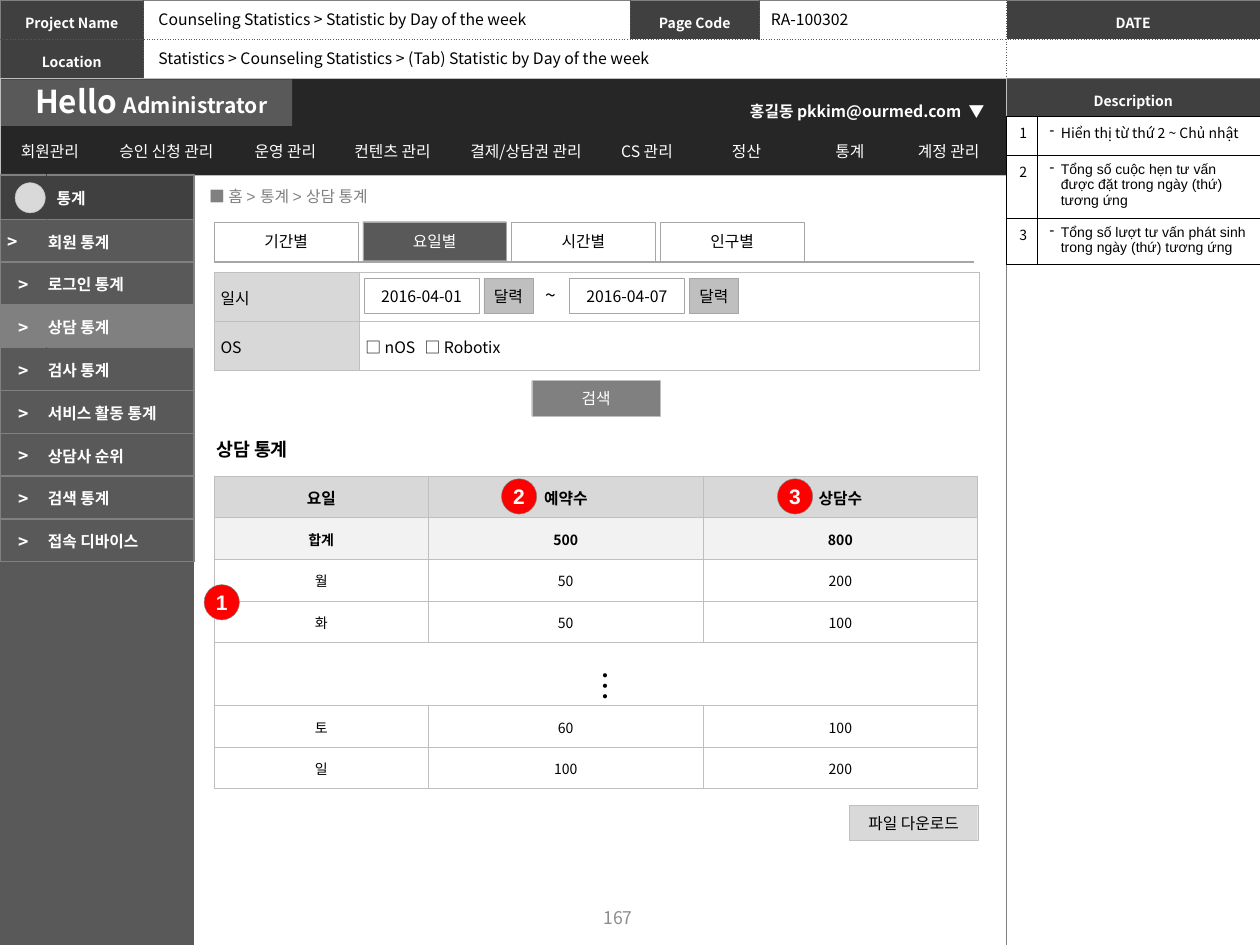
from lxml import etree
from pptx import Presentation
from pptx.dml.color import RGBColor
from pptx.enum import shapes as shp, text as txt
from pptx.oxml import ns
from pptx.util import Inches, Pt

BLACK = RGBColor(0, 0, 0)
WHITE = RGBColor(255, 255, 255)
RED = RGBColor(255, 0, 0)
INK = RGBColor(0x26, 0x26, 0x26)
DARK = RGBColor(0x40, 0x40, 0x40)
SLATE = RGBColor(0x59, 0x59, 0x59)
GREY = RGBColor(0x80, 0x80, 0x80)
FADED = RGBColor(0x8C, 0x8C, 0x8C)
RULE = RGBColor(0xA6, 0xA6, 0xA6)
SILVER = RGBColor(0xBF, 0xBF, 0xBF)
LIGHT = RGBColor(0xD8, 0xD8, 0xD8)
PALE = RGBColor(0xD9, 0xD9, 0xD9)
MIST = RGBColor(0xF2, 0xF2, 0xF2)

SANS, ARIAL = "Noto Sans CJK KR", "Arial"
LEFT, MID = txt.PP_ALIGN.LEFT, txt.PP_ALIGN.CENTER
CENTRE = txt.MSO_ANCHOR.MIDDLE
BOX, OVAL = shp.MSO_SHAPE.RECTANGLE, shp.MSO_SHAPE.OVAL
TIGHT = (0.01, 0.01, 0.01, 0)


def sub(node, tag, **attrs):
    return etree.SubElement(node, ns.qn(tag), **attrs)


class Page:
    def __init__(self, deck):
        self.slide = deck.slides.add_slide(deck.slide_layouts[6])
        self.items = self.slide.shapes

    def style(self, para, size=9, color=BLACK, bold=False, font=SANS, align=LEFT, gap=None):
        para.alignment = align
        if gap:
            para.line_spacing = gap
        if not para.runs:
            sub(para._p, "a:endParaRPr", sz=str(int(size * 100)))
        for run in para.runs:
            face = run.font
            face.size, face.bold, face.name = Pt(size), bold, font
            face.color.rgb = color
            if face._element.find(ns.qn("a:ea")) is None:
                east = etree.Element(ns.qn("a:ea"), typeface=SANS)
                face._element.find(ns.qn("a:latin")).addnext(east)

    def label(self, x, y, w, h, words, mid=False, wrap=False, inset=0.1, **look):
        frame = self.items.add_textbox(Inches(x), Inches(y), Inches(w), Inches(h)).text_frame
        frame.word_wrap = wrap
        frame.margin_left = Inches(inset)
        if mid:
            frame.vertical_anchor = CENTRE
        frame.text = words
        self.style(frame.paragraphs[0], **look)
        return frame

    def shape(self, x, y, w, h, fill, line=None, words="", kind=BOX, **look):
        item = self.items.add_shape(kind, Inches(x), Inches(y), Inches(w), Inches(h))
        item.shadow.inherit = False
        item.fill.solid()
        item.fill.fore_color.rgb = fill
        if line is None:
            item.line.fill.background()
        else:
            item.line.color.rgb = line
            item.line.width = Pt(0.25)
        if words:
            frame = item.text_frame
            frame.word_wrap = False
            frame.vertical_anchor = CENTRE
            frame.text = words
            self.style(frame.paragraphs[0], align=MID, **look)

    def line(self, x1, y1, x2, y2, color, width):
        item = self.items.add_connector(shp.MSO_CONNECTOR.STRAIGHT, Inches(x1), Inches(y1),
                                        Inches(x2), Inches(y2))
        item.line.color.rgb = color
        item.line.width = Pt(width)
        sub(item._element.spPr, "a:effectLst")

    def edges(self, cell, sides):
        props = cell._tc.get_or_add_tcPr()
        for spot, side in enumerate("LRTB"):
            color, width, dash = sides[side]
            ln = etree.Element(ns.qn("a:ln" + side), w=str(Pt(width)))
            sub(sub(ln, "a:solidFill"), "a:srgbClr", val=str(color))
            sub(ln, "a:prstDash", val=dash)
            props.insert(spot, ln)

    def table(self, x, y, cols, rows, words, look, edge, span=None):
        """look(r, c) gives the cell style; edge(r, c) gives the line of each side."""
        grid = self.items.add_table(len(rows), len(cols), Inches(x), Inches(y),
                                    Inches(sum(cols)), Inches(sum(rows))).table
        grid.first_row = grid.horz_banding = False
        for part, size in zip(grid.columns, cols):
            part.width = Inches(size)
        for part, size in zip(grid.rows, rows):
            part.height = Inches(size)
        for r in range(len(rows)):
            for c in range(len(cols)):
                cell, looks = grid.cell(r, c), look(r, c)
                fill = looks.pop("fill", None)
                inset = looks.pop("inset", (0.1, 0.05, 0.1, 0.05))
                cell.margin_left, cell.margin_top, cell.margin_right, cell.margin_bottom = map(Inches, inset)
                if looks.pop("mid", True):
                    cell.vertical_anchor = CENTRE
                cell.text_frame.text = words[r][c]
                para = cell.text_frame.paragraphs[0]
                props = para._p.get_or_add_pPr()
                if looks.pop("dash", False):
                    props.set("marL", str(Inches(0.09)))
                    props.set("indent", str(Inches(-0.09)))
                    sub(props, "a:buChar", char="-")
                if "\t" in words[r][c]:
                    sub(sub(props, "a:tabLst"), "a:tab", pos=str(Inches(0.47)), algn="l")
                self.style(para, **looks)
                self.edges(cell, edge(r, c))
                if fill is None:
                    cell.fill.background()
                else:
                    cell.fill.solid()
                    cell.fill.fore_color.rgb = fill
        if span:
            row, first, last = span
            grid.cell(row, first).merge(grid.cell(row, last))


def plain(color, width):
    return lambda r, c: dict.fromkeys("LRTB", (color, width, "solid"))


def framed(rows, cols):
    """Solid outer frame with dotted lines inside."""
    def edge(r, c):
        outer = {"L": c == 0, "R": c == cols - 1, "T": r == 0, "B": r == rows - 1}
        return {side: (GREY, 0.5, "solid") if out else (SLATE, 0.5, "sysDot")
                for side, out in outer.items()}
    return edge


def main():
    deck = Presentation()
    deck.slide_width, deck.slide_height = Inches(10), Inches(7.5)
    page = Page(deck)

    # Document header
    def head(r, c):
        dark = (r, c) in {(0, 0), (0, 2), (0, 4), (1, 0)}
        return dict(size=8, color=WHITE, bold=True, align=MID, gap=1.3,
                    inset=(0.04,) * 4, fill=DARK if dark else None)

    page.table(0, 0, [1.14, 3.86, 1.03, 1.96, 2.01], [0.31] * 2,
               [["Project Name", "", "Page Code", "", "DATE"], ["Location", "", "", "", ""]],
               head, framed(2, 5), span=(1, 1, 3))
    page.table(7.99, 0.62, [2.01], [0.31, 6.57], [["Description"], [""]],
               lambda r, c: {**head(r, c), "fill": None if r else DARK}, framed(2, 1))
    page.label(1.16, 0.03, 3.16, 0.25, "Counseling Statistics > Statistic by Day of the week")
    page.label(6.02, 0.03, 0.83, 0.25, "RA-100302")
    page.label(1.16, 0.34, 4.16, 0.25,
               "Statistics > Counseling Statistics > (Tab) Statistic by Day of the week")

    # Site banner and main menu
    page.shape(0, 0.62, 7.99, 0.77, INK, SILVER)
    page.shape(0.01, 0.63, 2.31, 0.37, SLATE)
    title = page.label(0.18, 0.6, 2.09, 0.4, "Hello ", size=18, color=WHITE, bold=True)
    role = title.paragraphs[0].add_run()
    role.text = "Administrator"
    page.style(title.paragraphs[0], size=18, color=WHITE, bold=True)
    role.font.size = Pt(12)
    page.label(5.82, 0.73, 1.94, 0.26, "홍길동 pkkim@ourmed.com", wrap=True,
               color=WHITE, bold=True, align=MID, gap=1.2)
    page.label(7.59, 0.73, 0.33, 0.26, "▼", color=WHITE, bold=True, gap=1.2)
    menu = ["회원관리", "승인 신청 관리", "운영 관리", "컨텐츠 관리", "결제/상담권 관리",
            "CS 관리", "정산", "통계", "계정 관리"]
    page.table(0.02, 1.04, [0.75, 1.1, 0.79, 0.91, 1.21, 0.71, 0.87, 0.77, 0.8], [0.31], [menu],
               lambda r, c: dict(color=WHITE, align=MID), plain(INK, 1))

    # Side menu
    page.shape(0, 1.38, 1.54, 6.12, SLATE)
    side = ["통계", "회원 통계", "로그인 통계", "상담 통계", "검사 통계", "서비스 활동 통계",
            "상담사 순위", "검색 통계", "접속 디바이스"]
    tones = {0: DARK, 3: GREY}

    def item(r, c):
        inset = TIGHT
        if r == 0 and c == 1:
            inset = (0.08, 0.01, 0.01, 0)
        elif r == 1 and c == 0:
            inset = (0.01, 0.01, 0.18, 0)
        return dict(size=9 if c else 10, color=WHITE, bold=True, inset=inset,
                    align=LEFT if c else MID, fill=tones.get(r, SLATE))

    def seam(r, c):
        inner = (tones.get(r, SLATE), 1, "solid")
        return {**plain(GREY, 1)(r, c), "L" if c else "R": inner}

    page.table(0, 1.39, [0.37, 1.17], [0.35] + [0.34] * 8,
               [[">" if r else "", name] for r, name in enumerate(side)], item, seam)
    page.shape(0.12, 1.45, 0.24, 0.24, PALE, SILVER, kind=OVAL)

    # Breadcrumb and tabs
    page.label(1.46, 1.39, 6.22, 0.34, "■ 홈 > 통계 > 상담 통계", mid=True, wrap=True,
               inset=0.2, color=GREY, font=ARIAL)
    page.line(1.7, 2.08, 7.73, 2.08, RULE, 0.75)
    for n, name in enumerate(["기간별", "요일별", "시간별", "인구별"]):
        fill, color = (SLATE, WHITE) if n == 1 else (WHITE, BLACK)
        page.shape(1.7 + 1.18 * n, 1.76, 1.14, 0.31, fill, RULE, name, color=color)

    # Search form
    page.table(1.7, 2.16, [1.15, 4.92], [0.39] * 2, [["일시", ""], ["OS", "□ nOS\t□ Robotix"]],
               lambda r, c: dict(inset=(0.05, 0.01, 0.01, 0), fill=None if c else LIGHT),
               plain(SILVER, 0.5))
    for x, day in [(2.89, "2016-04-01"), (4.52, "2016-04-07")]:
        page.shape(x, 2.21, 0.91, 0.28, WHITE, RULE, day)
        page.shape(x + 0.95, 2.21, 0.39, 0.28, SILVER, RULE, "달력")
    page.label(4.23, 2.2, 0.31, 0.29, "~", size=11)
    page.shape(4.22, 3.02, 1.02, 0.28, GREY, SILVER, "검색", color=WHITE)

    # Statistics by day
    page.label(1.62, 3.43, 0.9, 0.28, "상담 통계", size=10.5, bold=True)
    stats = [["요일", "예약수", "상담수"], ["합계", "500", "800"], ["월", "50", "200"],
             ["화", "50", "100"], ["", "", ""], ["토", "60", "100"], ["일", "100", "200"]]
    fills = {0: LIGHT, 1: MIST}
    page.table(1.7, 3.78, [1.7, 2.18, 2.18], [0.33] * 4 + [0.5] + [0.33] * 2, stats,
               lambda r, c: dict(size=8 if r else 9, bold=r < 2, align=MID, inset=TIGHT,
                                 fill=fills.get(r, WHITE)),
               plain(SILVER, 0.5), span=(4, 0, 2))
    dots = page.label(4.51, 5.22, 0.5, 0.29, "…", size=18)
    dots._txBody.bodyPr.set("vert", "eaVert")
    page.shape(6.74, 6.39, 1.02, 0.28, PALE, SILVER, "파일 다운로드")

    # Numbered markers
    for n, (x, y) in enumerate([(1.62, 4.64), (3.98, 3.8), (6.17, 3.8)], 1):
        page.shape(x, y, 0.28, 0.28, RED, GREY, str(n), kind=OVAL,
                   size=12, color=WHITE, bold=True, font=ARIAL)

    # Description notes
    notes = ["Hiển thị từ thứ 2 ~ Chủ nhật",
             "Tổng số cuộc hẹn tư vấn được đặt trong ngày (thứ) tương ứng",
             "Tổng số lượt tư vấn phát sinh trong ngày (thứ) tương ứng"]
    page.table(7.99, 0.92, [0.23, 1.77], [0.31, 0.5, 0.37],
               [[str(n), note] for n, note in enumerate(notes, 1)],
               lambda r, c: dict(size=8, mid=False, dash=c == 1, fill=WHITE,
                                 font=ARIAL if r and c else SANS),
               plain(BLACK, 0.5))

    # Page number
    page.label(3.74, 7.08, 2.33, 0.4, "167", mid=True, wrap=True, size=10, color=FADED, align=MID)
    deck.save("out.pptx")


if __name__ == "__main__":
    main()
